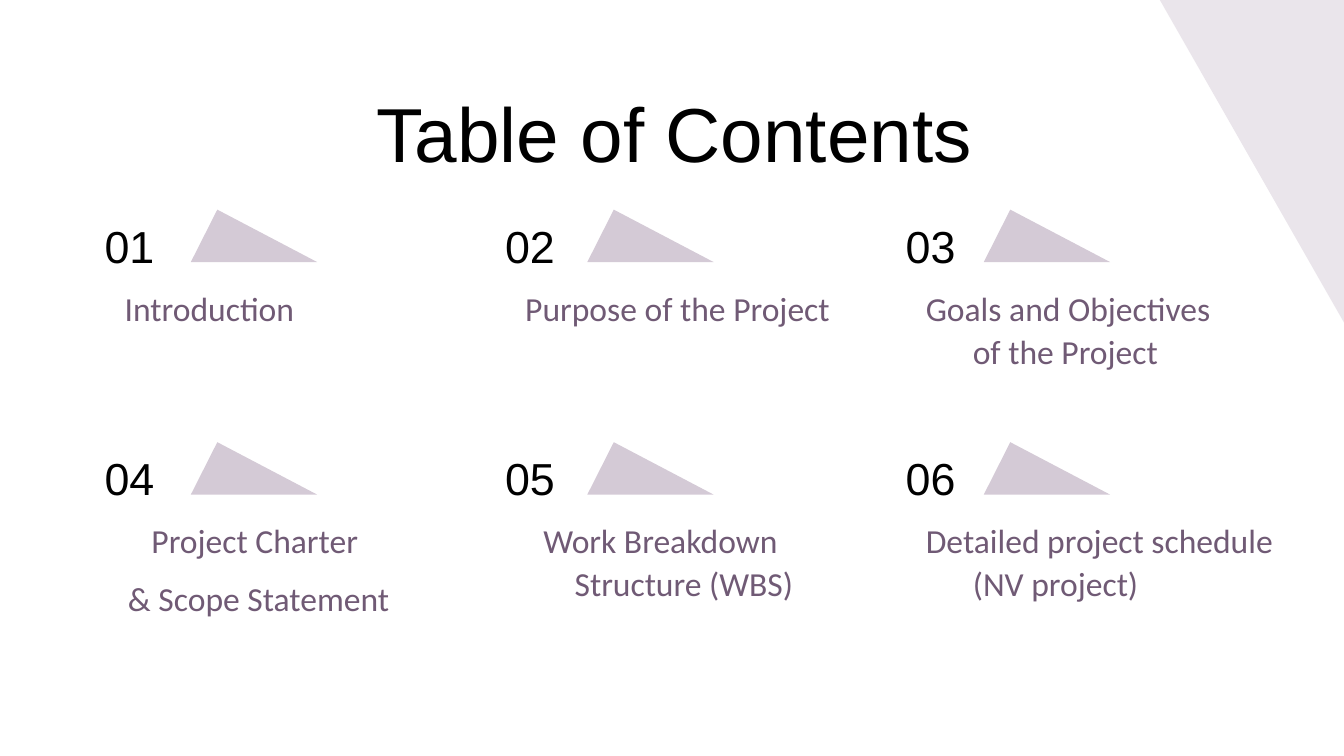
from pptx import Presentation
from pptx import util as u
from pptx.dml.color import RGBColor
from pptx.enum import shapes, text

COLORS = {"ink": "000000", "plum": "705A75", "mauve": "D4CAD6", "pale": "EAE5EB"}
TITLE = "Table of Contents"
TOPICS = [
    (["Introduction"], 2.36, 0.39, "l"),
    (["Purpose of the Project"], 2.67, 0.39, "l"),
    (["Goals and Objectives of the Project"], 2.67, 0.39, "l"),
    (["Project Charter ", "& Scope Statement "], 2.34, 0.39, "c"),
    (["Work Breakdown Structure (WBS) "], 2.36, 0.87, "c"),
    (["Detailed project schedule (NV project)"], 3.09, 0.33, "l"),
]
ALIGN = {"l": text.PP_ALIGN.LEFT, "c": text.PP_ALIGN.CENTER}
COLS = 3
LEFT, TOP = 0.68, 1.63
STEP, DROP = 2.98, 1.73
PEAK_X, PEAK_Y, PEAK_STEP = 1.42, 1.56, 2.95

deck = Presentation()
deck.slide_width = u.Inches(10)
deck.slide_height = deck.slide_width * 9 // 16
slide = deck.slides.add_slide(deck.slide_layouts[5])


def place(shape, box):
    shape.left, shape.top, shape.width, shape.height = map(u.Inches, box)


def write(lines, box, shape=None, size=18, font="Calibri", color="plum",
          align="l", anchor=text.MSO_ANCHOR.TOP, hang=False):
    shape = shape or slide.shapes.add_textbox(0, 0, 0, 0)
    place(shape, box)
    frame = shape.text_frame
    frame.text = "\n".join(lines)
    frame.word_wrap = True
    frame.auto_size = text.MSO_AUTO_SIZE.NONE
    frame.vertical_anchor = anchor
    frame.margin_left = frame.margin_right = u.Inches(0.1)
    frame.margin_top = frame.margin_bottom = u.Inches(0.1)
    for i, para in enumerate(frame.paragraphs):
        para.alignment = ALIGN[align]
        if hang:
            props = para._p.get_or_add_pPr()
            props.set("marL", str(u.Inches(0.5)))
            props.set("indent", str(u.Inches(-0.35)))
            para.line_spacing = 1.07
            para.space_before = u.Pt(8 if i else 0)
            para.space_after = u.Pt(8 if i == len(lines) - 1 else 0)
        para.font.size = u.Pt(size)
        para.font.name = font
        para.font.color.rgb = RGBColor.from_string(COLORS[color])


def draw(kind, box, color):
    shape = slide.shapes.add_shape(kind, *map(u.Inches, box))
    shape.shadow.inherit = False
    shape.fill.solid()
    shape.fill.fore_color.rgb = RGBColor.from_string(COLORS[color])
    shape.line.fill.background()
    return shape


corner = draw(shapes.MSO_SHAPE.RIGHT_TRIANGLE, (8.63, 0, 1.37, 2.4), "pale")
corner.rotation = 180

write([TITLE], (0.59, 0.54, 8.86, 0.63), shape=slide.shapes.title,
      size=41, font="Arial", color="ink", align="c")

for i, (lines, width, height, align) in enumerate(TOPICS):
    row, col = divmod(i, COLS)
    x, y = LEFT + col * STEP, TOP + row * DROP
    peak = draw(shapes.MSO_SHAPE.ISOSCELES_TRIANGLE,
                (PEAK_X + col * PEAK_STEP, PEAK_Y + row * DROP, 0.94, 0.39), "mauve")
    peak.adjustments[0] = 0.21
    write([f"{i + 1:02}"], (x, y, 1.18, 0.39), size=24, font="Arial",
          color="ink", anchor=text.MSO_ANCHOR.MIDDLE)
    write(lines, (x, y + 0.39, width, height), align=align, hang=True)

deck.save("out.pptx")
